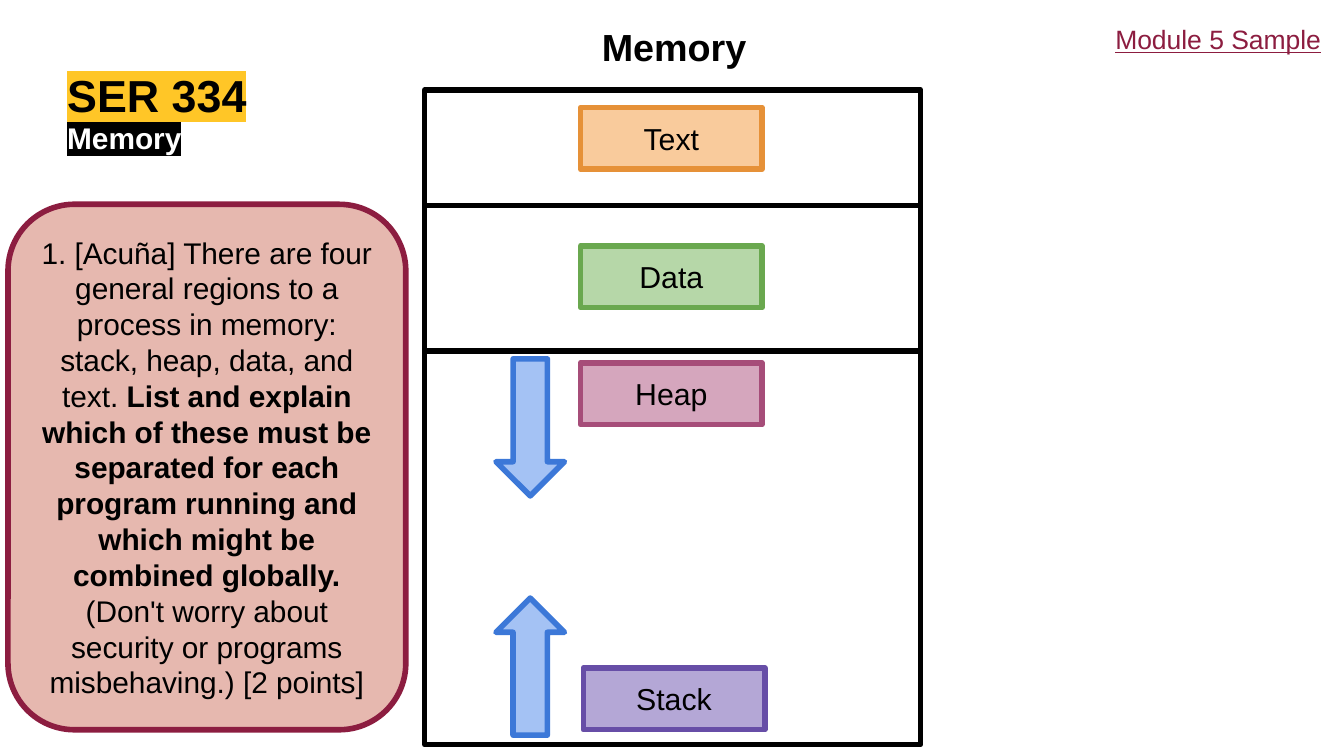
from lxml.etree import SubElement
from pptx import Presentation
from pptx.dml.color import RGBColor
from pptx.enum.shapes import MSO_CONNECTOR, MSO_SHAPE
from pptx.enum.text import MSO_ANCHOR, PP_ALIGN
from pptx.oxml import parse_xml
from pptx.oxml.ns import qn
from pptx.util import Inches, Pt

COLORS = {
    "black": "000000", "white": "FFFFFF", "gold": "FFC627", "maroon": "8C1D40",
    "rose": "E6B8AF", "orange": "E69138", "light_orange": "F9CB9C",
    "green": "6AA84F", "light_green": "B6D7A8", "pink": "A64D79",
    "light_pink": "D5A6BD", "purple": "674EA7", "light_purple": "B4A7D6",
    "blue": "3C78D8", "light_blue": "A4C2F4",
}
DRAWING = "http://schemas.openxmlformats.org/drawingml/2006/main"


def add_block(shapes, kind, left, top, width, height, fill, line):
    block = shapes.add_shape(
        kind, Inches(left), Inches(top), Inches(width), Inches(height))
    block.shadow.inherit = False
    block.fill.solid()
    block.fill.fore_color.rgb = RGBColor.from_string(COLORS[fill])
    block.line.color.rgb = RGBColor.from_string(COLORS[line])
    block.line.width = Pt(3)
    SubElement(block.line._get_or_add_ln(), qn("a:round"))
    return block


def write(box, pieces, size, color="black", inset=0.1, centered=True):
    frame = box.text_frame
    frame.word_wrap = True
    frame.margin_left = frame.margin_right = Inches(inset)
    frame.margin_top = frame.margin_bottom = Inches(inset)
    frame.vertical_anchor = MSO_ANCHOR.MIDDLE if centered else MSO_ANCHOR.TOP
    para = frame.paragraphs[0]
    para.alignment = PP_ALIGN.CENTER if centered else PP_ALIGN.LEFT
    for text, bold in pieces:
        span = para.add_run()
        span.text = text
        span.font.name = "Arial"
        span.font.size = Pt(size)
        span.font.bold = bold
        span.font.color.rgb = RGBColor.from_string(COLORS[color])
    return para


deck = Presentation()
deck.slide_width = Inches(10)
deck.slide_height = deck.slide_width * 9 // 16
slide = deck.slides.add_slide(deck.slide_layouts[6])

for text, top, width, height, size, color, marker in [
    ("SER 334", 0.5, 4.85, 0.39, 24, "black", "gold"),
    ("Memory", 0.89, 6.51, 0.29, 16, "white", "black"),
]:
    box = slide.shapes.add_textbox(Inches(0.5), Inches(top), Inches(width), Inches(height))
    para = write(box, [(text, True)], size, color, inset=0, centered=False)
    highlight = parse_xml(
        f'<a:highlight xmlns:a="{DRAWING}"><a:srgbClr val="{COLORS[marker]}"/></a:highlight>')
    para.runs[0].font._element.find(qn("a:solidFill")).addnext(highlight)

diagram_title = slide.shapes.add_textbox(Inches(3.44), Inches(0.07), Inches(3.15), Inches(0.55))
write(diagram_title, [("Memory", True)], 20.2)

memory_left, memory_width = 3.16, 3.69
memory_map = slide.shapes.add_group_shape()
add_block(memory_map.shapes, MSO_SHAPE.RECTANGLE,
          memory_left, 0.67, memory_width, 4.87, "white", "black")
for height in (1.53, 2.61):
    divider = memory_map.shapes.add_connector(
        MSO_CONNECTOR.STRAIGHT, Inches(memory_left), Inches(height),
        Inches(memory_left + memory_width), Inches(height))
    divider.line.color.rgb = RGBColor.from_string(COLORS["black"])
    divider.line.width = Pt(3)
    SubElement(divider._element.spPr, qn("a:effectLst"))

for name, left, top, fill, line in [
    ("Stack", 4.34, 4.97, "light_purple", "purple"),
    ("Heap", 4.32, 2.7, "light_pink", "pink"),
    ("Text", 4.32, 0.8, "light_orange", "orange"),
    ("Data", 4.32, 1.83, "light_green", "green"),
]:
    region = add_block(slide.shapes, MSO_SHAPE.RECTANGLE, left, top, 1.35, 0.46, fill, line)
    write(region, [(name, False)], 16.2)

for top, rotation in [(4.45, 0), (2.67, 180)]:
    growth_arrow = add_block(
        slide.shapes, MSO_SHAPE.UP_ARROW, 3.69, top, 0.51, 1.02, "light_blue", "blue")
    growth_arrow.rotation = rotation

question = add_block(
    slide.shapes, MSO_SHAPE.ROUNDED_RECTANGLE, 0.06, 1.52, 2.96, 3.91, "rose", "maroon")
question.adjustments[0] = 0.167
write(question, [
    ("1. [Acuña] There are four general regions to a process in memory: "
     "stack, heap, data, and text. ", False),
    ("List and explain which of these must be separated for each program "
     "running and which might be combined globally.", True),
    (" (Don't worry about security or programs misbehaving.) [2 points]", False),
], 16)

sample_label = slide.shapes.add_textbox(Inches(8.2), Inches(0.07), Inches(1.86), Inches(0.39))
para = write(sample_label, [("Module 5 Sample", False)], 14.2, "maroon", centered=False)
para.runs[0].font.underline = True

deck.save("out.pptx")
